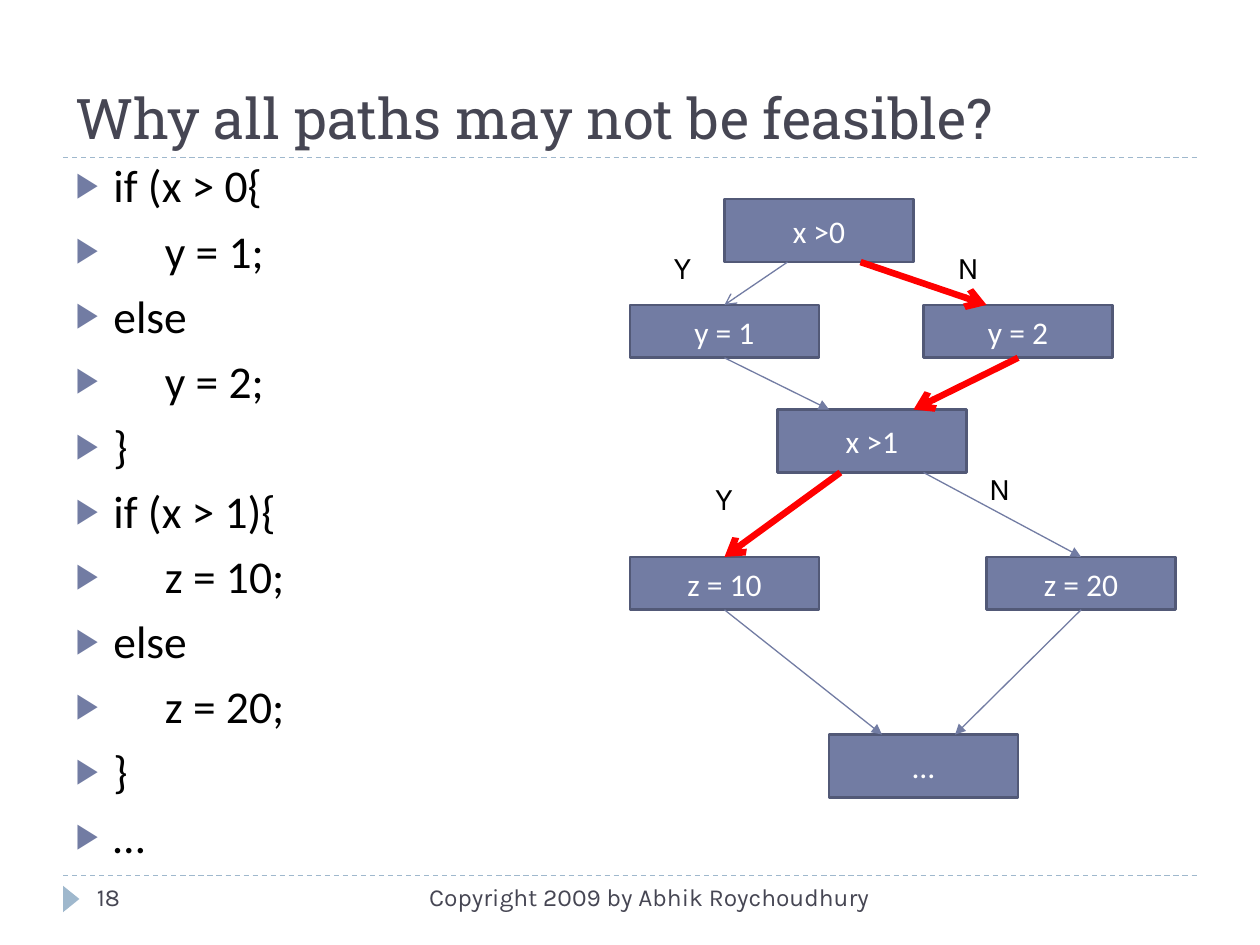
from lxml import etree
from pptx import Presentation
from pptx.dml.color import RGBColor
from pptx.enum import dml, shapes, text
from pptx.oxml.ns import qn
from pptx.util import Inches, Pt

BLUE, EDGE, PALE = "727CA3", "525977", "9FB8CD"
RED, GREY, BLACK, WHITE = "FF0000", "464653", "000000", "FFFFFF"


def style(para, face, size, tint, align=text.PP_ALIGN.LEFT):
    para.alignment = align
    font = para.font
    font.name, font.size = face, Pt(size)
    font.color.rgb = RGBColor.from_string(tint)


def link(x1, y1, x2, y2, tint, width):
    """Draw a straight connector without shadow."""
    line = slide.shapes.add_connector(
        shapes.MSO_CONNECTOR.STRAIGHT, Inches(x1), Inches(y1), Inches(x2), Inches(y2))
    line.line.color.rgb = RGBColor.from_string(tint)
    line.line.width = Pt(width)
    etree.SubElement(line._element.spPr, qn("a:effectLst"))
    return line


deck = Presentation()
deck.slide_width, deck.slide_height = Inches(10), Inches(7.5)
slide = deck.slides.add_slide(deck.slide_layouts[1])

# Rules and page marker
for y in (6.95, 1.25):
    rule = link(0.5, y, 9.5, y, PALE, 0.75)
    rule.line.dash_style = dml.MSO_LINE.DASH
mark = slide.shapes.add_shape(
    shapes.MSO_SHAPE.ISOSCELES_TRIANGLE, Inches(0.46), Inches(7.07), Inches(0.21), Inches(0.13))
mark.rotation = 90
mark.shadow.inherit = False
mark.fill.solid()
mark.fill.fore_color.rgb = RGBColor.from_string(PALE)
mark.line.fill.background()

# Title
title = slide.shapes.title
title.left, title.top, title.width, title.height = map(Inches, (0.5, 0.17, 9, 1.08))
title.text_frame.text = "Why all paths may not be feasible?"
title.text_frame.auto_size = text.MSO_AUTO_SIZE.NONE
title.text_frame.vertical_anchor = text.MSO_ANCHOR.BOTTOM
style(title.text_frame.paragraphs[0], "Roboto Slab", 32, GREY)

# Code list
code = ["if (x > 0{", "     y = 1;", "else", "     y = 2;", "}", "if (x > 1){",
        "     z = 10;", "else", "     z = 20;", "}", "…"]
body = slide.placeholders[1]
body.left, body.top, body.width, body.height = map(Inches, (0.5, 1.2, 2.17, 5.64))
frame = body.text_frame
frame.text = "\n".join(code)
frame.auto_size = text.MSO_AUTO_SIZE.NONE
for i, para in enumerate(frame.paragraphs):
    props = para._p.get_or_add_pPr()
    props.set("marL", str(Inches(0.3)))
    props.set("indent", str(Inches(-0.3)))
    hue = etree.SubElement(props, qn("a:buClr"))
    etree.SubElement(hue, qn("a:srgbClr"), val=BLUE)
    etree.SubElement(props, qn("a:buSzPct"), val="76000")
    etree.SubElement(props, qn("a:buChar"), char="▶")
    para.space_before = Pt(6 if i else 0)
    style(para, "Calibri", 26, BLACK)

# Footer texts and branch labels
left, right = text.PP_ALIGN.LEFT, text.PP_ALIGN.RIGHT
notes = [
    ("Copyright 2009 by Abhik Roychoudhury", 3.17, 6.95, 3.83, 14, GREY, right),
    ("18", 0.67, 6.95, 2.17, 14, GREY, left),
    ("Y", 5.25, 1.92, 0.5, 18, BLACK, left),
    ("N", 7.5, 1.92, 0.5, 18, BLACK, left),
    ("Y", 5.58, 3.75, 1, 18, BLACK, left),
    ("N", 7.75, 3.67, 0.83, 18, BLACK, left),
]
for words, x, y, wide, size, tint, align in notes:
    box = slide.shapes.add_textbox(Inches(x), Inches(y), Inches(wide), Inches(0.4))
    box.text_frame.word_wrap = True
    box.text_frame.text = words
    style(box.text_frame.paragraphs[0], "Karla", size, tint, align)

# Flow chart nodes
WIDE = 1.5
spots = {
    "x >0": (5.75, 1.58, 0.5), "y = 1": (5, 2.42, 0.42), "y = 2": (7.33, 2.42, 0.42),
    "x >1": (6.17, 3.25, 0.5), "z = 10": (5, 4.42, 0.42), "z = 20": (7.83, 4.42, 0.42),
    "…": (6.58, 5.83, 0.5),
}
nodes = {}
for name, (x, y, high) in spots.items():
    node = slide.shapes.add_shape(
        shapes.MSO_SHAPE.RECTANGLE, Inches(x), Inches(y), Inches(WIDE), Inches(high))
    node.shadow.inherit = False
    node.fill.solid()
    node.fill.fore_color.rgb = RGBColor.from_string(BLUE)
    node.line.color.rgb = RGBColor.from_string(EDGE)
    node.line.width = Pt(1.5)
    node.text_frame.text = name
    node.text_frame.vertical_anchor = text.MSO_ANCHOR.MIDDLE
    style(node.text_frame.paragraphs[0], "Calibri", 18, WHITE, text.PP_ALIGN.CENTER)
    nodes[name] = node

# Flow chart edges: node and x at the start, node and x at the end
edges = [
    ("x >0", 6.25, "y = 1", 5.75, BLUE, "arrow"),
    ("x >0", 6.83, "y = 2", 7.83, RED, "arrow"),
    ("y = 1", 5.75, "x >1", 6.58, BLUE, "triangle"),
    ("y = 2", 8.08, "x >1", 7.25, RED, "arrow"),
    ("x >1", 6.67, "z = 10", 5.75, RED, "arrow"),
    ("x >1", 7.33, "z = 20", 8.58, BLUE, "triangle"),
    ("z = 10", 5.75, "…", 7, BLUE, "triangle"),
    ("z = 20", 8.58, "…", 7.58, BLUE, "triangle"),
]
for start, x1, end, x2, tint, head in edges:
    a, b = spots[start], spots[end]
    edge = link(x1, a[1] + a[2], x2, b[1], tint, 3.75 if tint == RED else 0.75)
    etree.SubElement(edge.line._get_or_add_ln(), qn("a:tailEnd"), type=head)
    if abs(a[0] + WIDE / 2 - x1) < 0.01:
        edge.begin_connect(nodes[start], 2)
    if abs(b[0] + WIDE / 2 - x2) < 0.01:
        edge.end_connect(nodes[end], 0)

deck.save("out.pptx")
